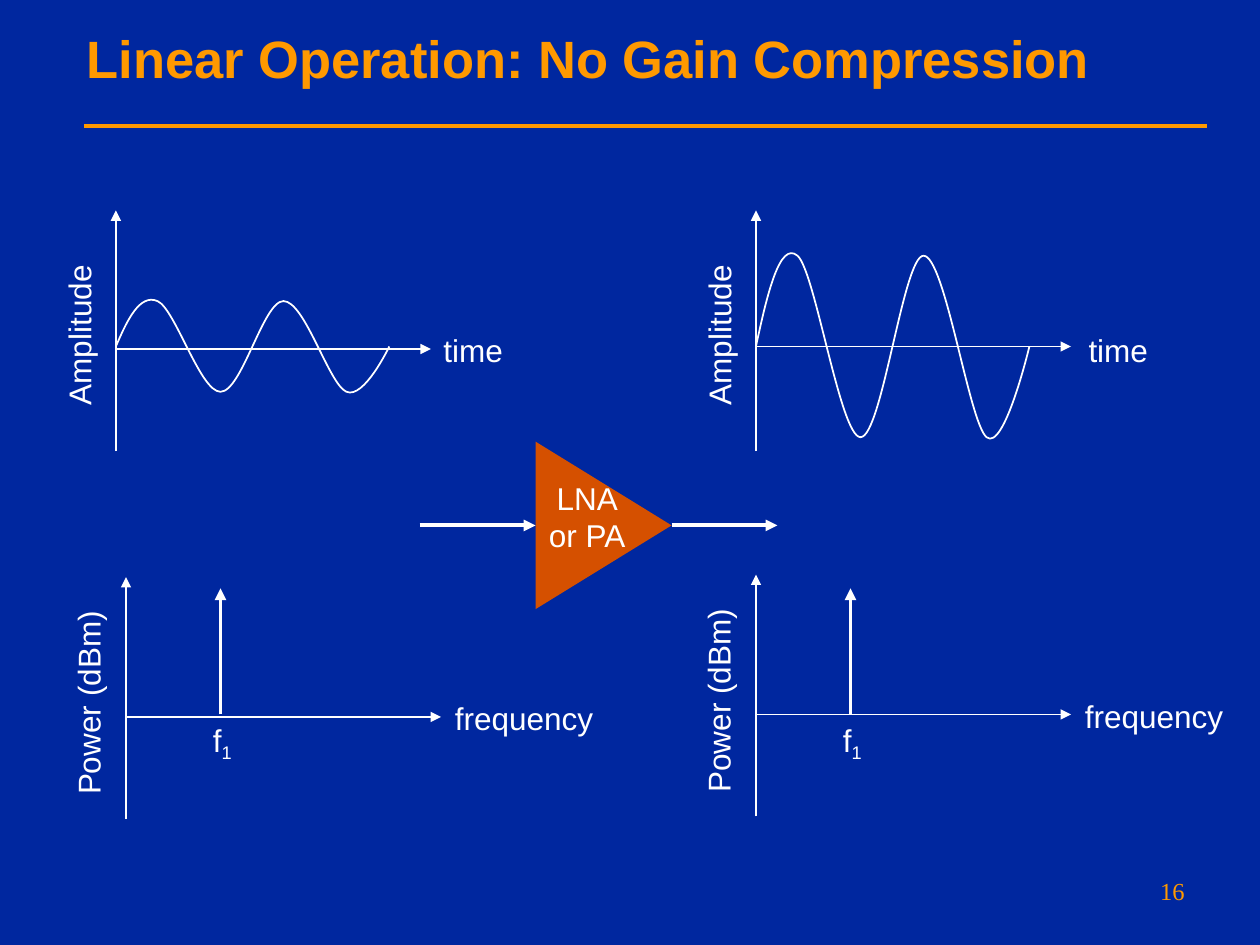
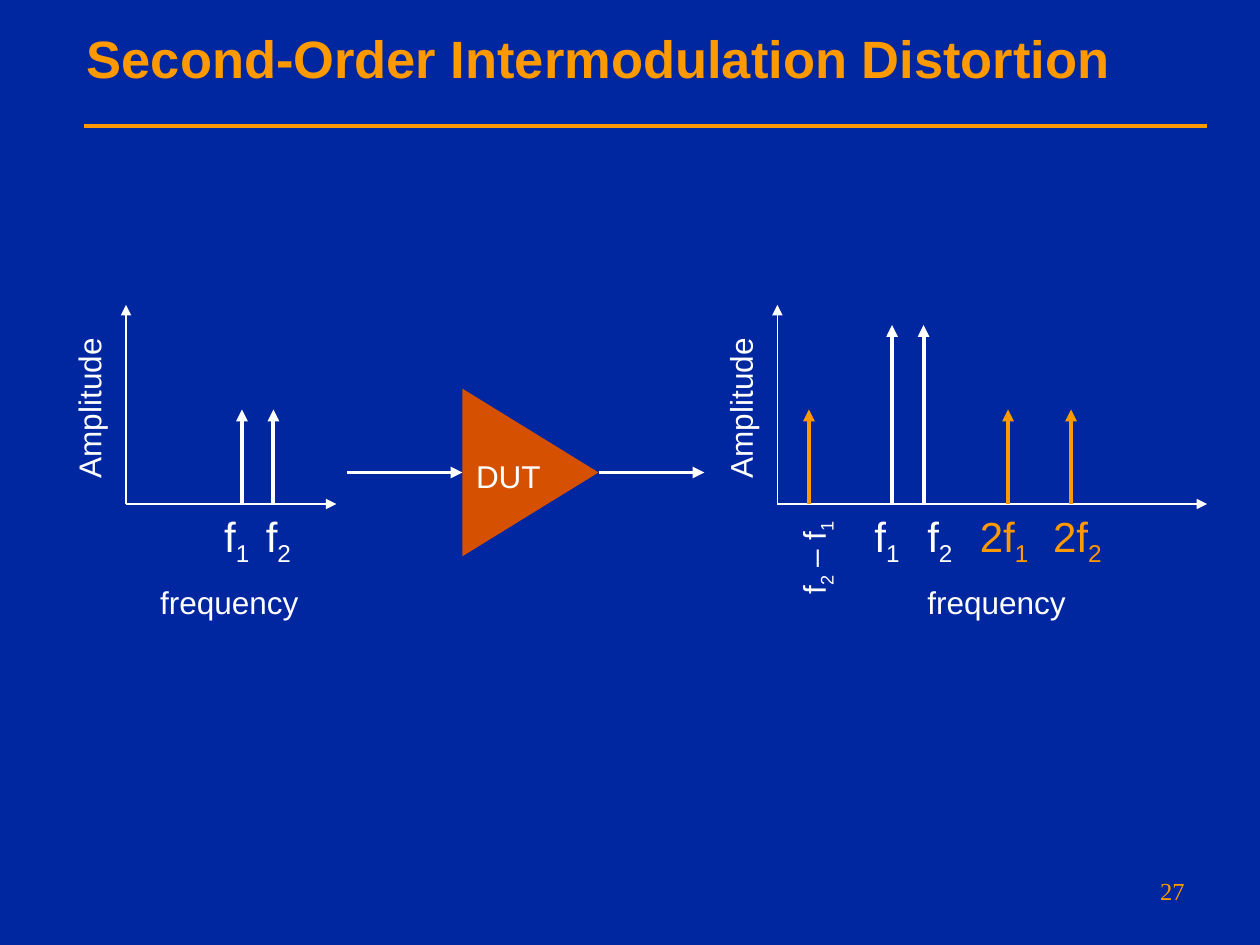
from dataclasses import dataclass

from lxml import etree
from pptx import Presentation
from pptx.dml.color import RGBColor
from pptx.enum.shapes import MSO_CONNECTOR, MSO_SHAPE
from pptx.enum.text import MSO_ANCHOR, MSO_AUTO_SIZE, PP_ALIGN
from pptx.oxml.ns import qn
from pptx.util import Inches, Pt

STRAIGHT = MSO_CONNECTOR.STRAIGHT
TRIANGLE = MSO_SHAPE.ISOSCELES_TRIANGLE
TOP, MIDDLE = MSO_ANCHOR.TOP, MSO_ANCHOR.MIDDLE
FIXED, GROW = MSO_AUTO_SIZE.NONE, MSO_AUTO_SIZE.SHAPE_TO_FIT_TEXT
LEFT, CENTER, RIGHT = PP_ALIGN.LEFT, PP_ALIGN.CENTER, PP_ALIGN.RIGHT


@dataclass(frozen=True)
class Theme:
    background: RGBColor = RGBColor(0x00, 0x27, 0x9F)
    accent: RGBColor = RGBColor(0xFF, 0x99, 0x00)
    ink: RGBColor = RGBColor(0xFF, 0xFF, 0xFF)
    amplifier: RGBColor = RGBColor(0xD5, 0x50, 0x00)
    font: str = "Arial"
    number_font: str = "Times New Roman"
    title_size: int = 30
    tone_size: int = 24
    label_size: int = 18
    number_size: int = 14
    thin: float = 1
    thick: float = 2.25


WAVE_CURVES = [
    (0.09, -0.21), (0.19, -0.42), (0.33, -0.36),
    (0.47, -0.3), (0.67, 0.36), (0.83, 0.36),
    (1, 0.36), (1.17, -0.36), (1.33, -0.36),
    (1.5, -0.36), (1.69, 0.3), (1.83, 0.36),
    (1.97, 0.42), (2.17, 0), (2.17, 0),
]


class Deck:
    def __init__(self, theme):
        self.theme = theme
        self.presentation = Presentation()
        self.presentation.slide_width = Inches(10)
        self.presentation.slide_height = Inches(7.5)
        self.slide = None

    def new_slide(self, title, number):
        theme = self.theme
        self.slide = self.presentation.slides.add_slide(self.presentation.slide_layouts[6])
        fill = self.slide.background.fill
        fill.solid()
        fill.fore_color.rgb = theme.background
        self.line((0.67, 1), (9.58, 1), theme.thick, theme.accent, arrow=False)
        self.text(title, 0.59, 0, 9, 0.91, size=theme.title_size, color=theme.accent,
                  align=LEFT, anchor=MIDDLE, bold=True, wrap=True)
        self.text(number, 7.75, 6.9, 1.75, 0.43, size=theme.number_size, color=theme.accent,
                  font=theme.number_font, align=RIGHT, wrap=True)

    def text(self, content, left, top, width, height=0.4, size=None, color=None, font=None,
             align=CENTER, anchor=TOP, bold=False, wrap=False, rotation=0):
        box = self.slide.shapes.add_textbox(Inches(left), Inches(top), Inches(width), Inches(height))
        box.rotation = rotation
        frame = box.text_frame
        frame.word_wrap = wrap
        frame.auto_size = FIXED if wrap else GROW
        frame.vertical_anchor = anchor
        for index, line in enumerate(content.split("\n")):
            paragraph = frame.add_paragraph() if index else frame.paragraphs[0]
            paragraph.alignment = align
            paragraph.font.name = font or self.theme.font
            paragraph.font.size = Pt(size or self.theme.label_size)
            paragraph.font.bold = bold
            paragraph.font.color.rgb = color or self.theme.ink
            self.add_runs(paragraph, line)

    def add_runs(self, paragraph, line):
        base, *subscripted = line.split("_")
        paragraph.add_run().text = base
        for piece in subscripted:
            subscript = paragraph.add_run()
            subscript.text = piece[0]
            subscript.font._element.set("baseline", "-25000")
            if piece[1:]:
                paragraph.add_run().text = piece[1:]

    def line(self, start, end, width, color=None, arrow=True):
        connector = self.slide.shapes.add_connector(
            STRAIGHT, *(Inches(value) for value in (*start, *end)))
        connector.line.color.rgb = color or self.theme.ink
        connector.line.width = Pt(width)
        if arrow:
            outline = connector.line._get_or_add_ln()
            etree.SubElement(outline, qn("a:tailEnd"), type="triangle")
        etree.SubElement(connector._element.spPr, qn("a:effectLst"))

    def axes(self, left, right, level, bottom, top):
        self.line((left, level), (right, level), self.theme.thin)
        self.line((left, bottom), (left, top), self.theme.thin)

    def tone(self, x, bottom, top, color=None):
        self.line((x, bottom), (x, top), self.theme.thick, color)

    def tone_label(self, content, left, width=0.4, color=None):
        self.text(content, left, 4, width, 0.56, size=self.theme.tone_size, color=color)

    def wave(self, left, level, gain):
        builder = self.slide.shapes.build_freeform(Inches(left), Inches(level))
        builder.add_line_segments(
            [(Inches(left + x), Inches(level + gain * y)) for x, y in WAVE_CURVES], close=False)
        curve = builder.convert_to_shape()
        curve.shadow.inherit = False
        curve.fill.background()
        curve.line.color.rgb = self.theme.ink
        curve.line.width = Pt(self.theme.thin)
        segments = list(curve._element.iter(qn("a:lnTo")))
        for first in range(0, len(segments), 3):
            bezier = etree.Element(qn("a:cubicBezTo"))
            segments[first].addprevious(bezier)
            for segment in segments[first:first + 3]:
                bezier.append(segment[0])
                segment.getparent().remove(segment)

    def amplifier(self, content, edge, level, text_top, text_width, text_height=0.4):
        base, depth = 1.33, 1.08
        tip = edge + depth
        triangle = self.slide.shapes.add_shape(
            TRIANGLE, Inches(edge + (depth - base) / 2), Inches(level - depth / 2),
            Inches(base), Inches(depth))
        triangle.rotation = 90
        triangle.shadow.inherit = False
        triangle.fill.solid()
        triangle.fill.fore_color.rgb = self.theme.amplifier
        triangle.line.fill.background()
        self.line((tip, level), (tip + 0.84, level), self.theme.thick)
        self.line((edge - 0.92, level), (edge, level), self.theme.thick)
        self.text(content, edge, text_top, text_width, text_height)


def build_linear_operation(deck):
    deck.new_slide("Linear Operation: No Gain Compression", "16")
    for left, level, gain, time_left, time_width in (
            (0.92, 2.77, 1, 3.42, 0.67), (6, 2.75, 2, 8.5, 0.75)):
        deck.axes(left, left + 2.5, level, 3.58, 1.67)
        deck.wave(left, 2.75, gain)
        deck.text("time", time_left, 2.58, time_width)
        deck.text("Amplitude", left - 0.95, 2.46, 1.31, rotation=270)
    deck.amplifier("LNA\nor PA", 4.25, 4.17, 3.75, 0.82, 0.7)
    for left, level in ((1, 5.69), (6, 5.67)):
        deck.axes(left, left + 2.5, level, level + 0.81, level - 1.11)
        deck.text("frequency", left + 2.51, level - 0.19, 1.3)
        deck.text("Power (dBm)", left - 1.13, level - 0.31, 1.66, rotation=270)
        deck.tone(left + 0.75, 5.67, 4.67)
        deck.text("f_1", left + 0.59, 5.67, 0.35, 0.44)


def build_second_order_distortion(deck):
    accent = deck.theme.accent
    deck.new_slide("Second-Order Intermodulation Distortion", "27")
    deck.amplifier("DUT", 3.67, 3.75, 3.58, 0.73)
    for left, right, frequency_left, tones, tone_top, label_lefts in (
            (1, 2.67, 1.17, (1.92, 2.17), 3.25, (1.68, 2.01)),
            (6.17, 9.58, 7.26, (7.08, 7.33), 2.58, (6.84, 7.26))):
        deck.axes(left, right, 4, 4, 2.42)
        deck.text("frequency", frequency_left, 4.58, 1.3)
        deck.text("Amplitude", left - 0.95, 3.04, 1.31, rotation=270)
        for x, content, label_left in zip(tones, ("f_1", "f_2"), label_lefts):
            deck.tone(x, 4, tone_top)
            deck.tone_label(content, label_left)
    for product in (6.42, 8, 8.5):
        deck.tone(product, 4, 3.25, accent)
    deck.tone_label("2f_1", 7.66, 0.62, accent)
    deck.tone_label("2f_2", 8.24, 0.62, accent)
    deck.text("f_2 – f_1", 6.04, 4.21, 0.87, 0.44, rotation=270)


def main():
    deck = Deck(Theme())
    build_linear_operation(deck)
    build_second_order_distortion(deck)
    deck.presentation.save("out.pptx")


if __name__ == "__main__":
    main()
